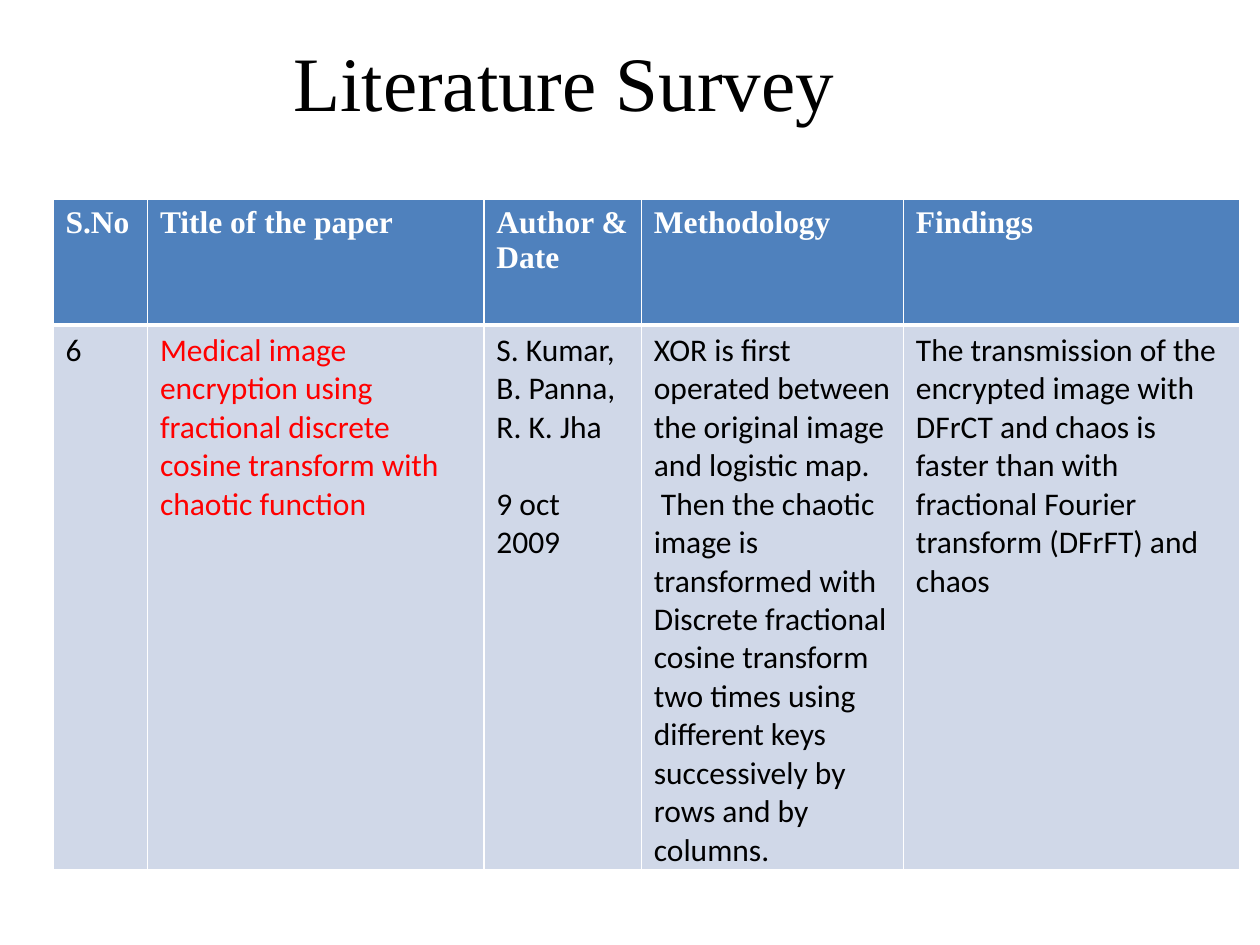
from lxml import etree
from pptx import Presentation
from pptx.dml.color import RGBColor
from pptx.enum import text
from pptx.oxml.ns import qn
from pptx.util import Inches, Pt

SERIF, SANS = "Times New Roman", "Calibri"
BLACK, WHITE, RED = "000000", "FFFFFF", "FF0000"
HEADER_FILL, BODY_FILL = "4F81BD", "D0D8E8"


def rgb(value):
    return RGBColor.from_string(value)


class Deck:
    """Holds the presentation style and the current slide."""

    def __init__(self, width, height):
        self.prs = Presentation()
        self.prs.slide_width = Inches(width)
        self.prs.slide_height = Inches(height)
        self.s = self.prs.slides.add_slide(self.prs.slide_layouts[5])

    def font(self, p, name, size, color, bold=False):
        p.font.name, p.font.size, p.font.bold = name, Pt(size), bold
        p.font.color.rgb = rgb(color)

    def title(self, words, left, top, width, height):
        sp = self.s.shapes.title
        sp.left, sp.top = Inches(left), Inches(top)
        sp.width, sp.height = Inches(width), Inches(height)
        tf = sp.text_frame
        tf.margin_left = tf.margin_right = tf.margin_bottom = 0
        tf.margin_top = Inches(0.02)
        tf.vertical_anchor = text.MSO_ANCHOR.TOP
        tf.text = words
        p = tf.paragraphs[0]
        p.alignment = text.PP_ALIGN.LEFT
        p.space_before = Pt(1.3)
        self.font(p, SERIF, 44, BLACK)

    def table(self, left, top, widths, heights):
        frame = self.s.shapes.add_table(
            len(heights), len(widths), Inches(left), Inches(top),
            Inches(sum(widths)), Inches(sum(heights)))
        for column, width in zip(frame.table.columns, widths):
            column.width = Inches(width)
        for row, height in zip(frame.table.rows, heights):
            row.height = Inches(height)
        return frame.table

    def cell(self, cell, words, fill, name, color, bold=False, gap=0):
        cell.margin_bottom = 0
        tf = cell.text_frame
        tf.text = words
        for i, p in enumerate(tf.paragraphs):
            p.space_before = Pt(gap if i else 0)
            self.font(p, name, 18, color, bold)
        cell.fill.solid()
        cell.fill.fore_color.rgb = rgb(fill)

    def borders(self, cell, **widths):
        """Draw white borders; they must come before the fill in tcPr."""
        tc_pr = cell._tc.get_or_add_tcPr()
        for i, (side, width) in enumerate(widths.items()):
            ln = etree.Element(qn(f"a:ln{side}"), w=str(Pt(width)))
            solid = etree.SubElement(ln, qn("a:solidFill"))
            etree.SubElement(solid, qn("a:srgbClr"), val=WHITE)
            tc_pr.insert(i, ln)


def main():
    deck = Deck(10, 7.5)
    deck.title("Literature Survey", 2.33, 0.25, 4.86, 0.76)

    # Survey table: heading, entry, entry colour, space between paragraphs
    columns = [
        ("S.No", "6", BLACK, 0),
        ("Title of the paper",
         "Medical image encryption using\n"
         "fractional discrete cosine transform with chaotic function", RED, 0),
        ("Author & Date", "S. Kumar, B. Panna, R. K. Jha\n9 oct 2009", BLACK, 22),
        ("Methodology",
         "XOR is first operated between the original image and logistic map.\n"
         " Then the chaotic image is transformed with Discrete fractional cosine "
         "transform two times using different keys successively by rows and by "
         "columns.", BLACK, 0),
        ("Findings",
         "The transmission of the encrypted image with DFrCT and chaos is faster "
         "than with fractional Fourier transform (DFrFT) and chaos", BLACK, 0),
    ]
    table = deck.table(0.42, 1.58, [0.75, 2.67, 1.25, 2.08, 2.67], [1, 4.3])
    for c, (heading, entry, color, gap) in enumerate(columns):
        head, body = table.cell(0, c), table.cell(1, c)
        deck.cell(head, heading, HEADER_FILL, SERIF, WHITE, bold=True)
        deck.borders(head, L=1, R=1, T=1, B=3)
        deck.cell(body, entry, BODY_FILL, SANS, color, gap=gap)
        deck.borders(body, L=1, R=1, T=3, B=1)

    deck.prs.save("out.pptx")


if __name__ == "__main__":
    main()
